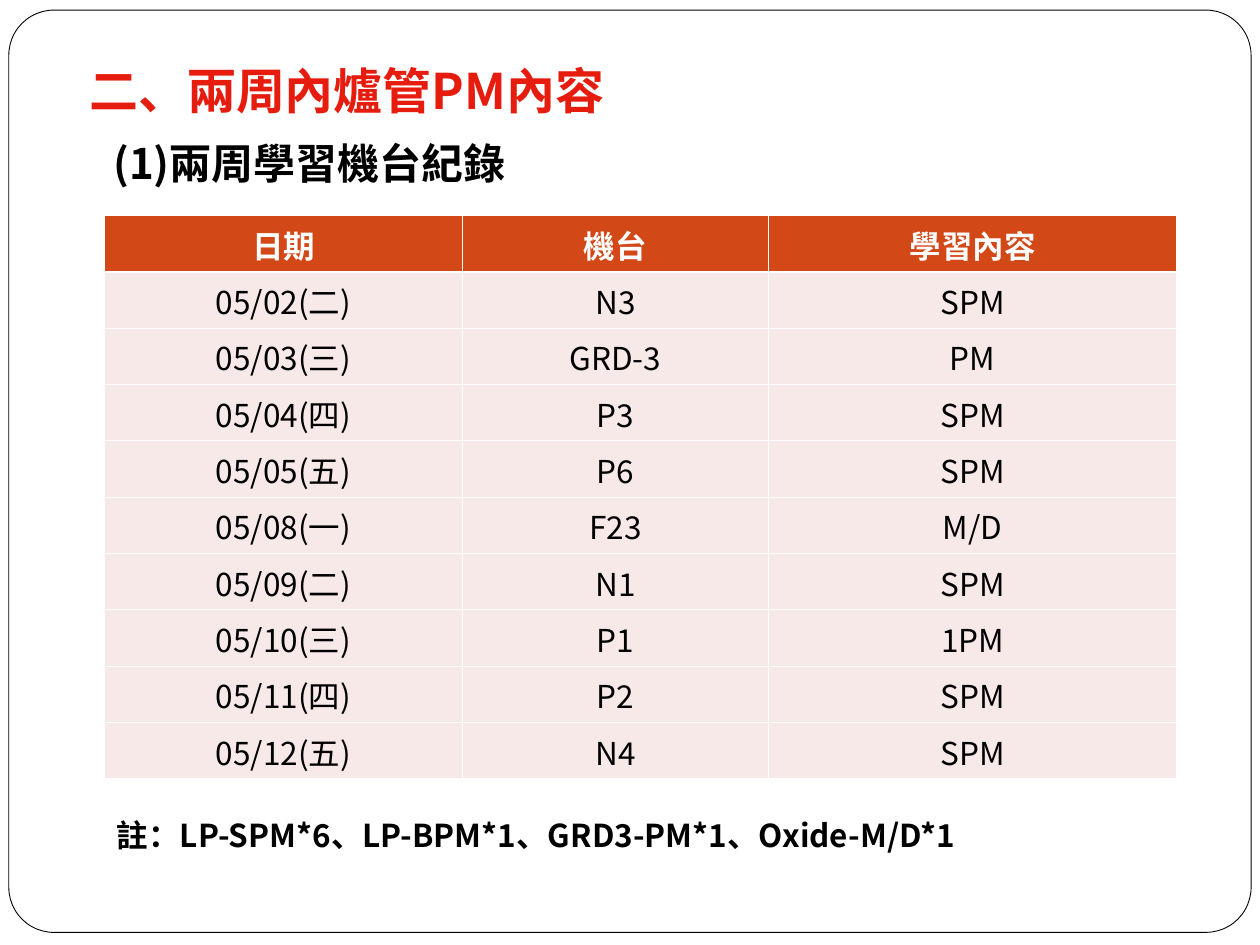
from lxml.etree import SubElement
from pptx import Presentation
from pptx.dml.color import RGBColor
from pptx.enum.shapes import MSO_SHAPE
from pptx.enum.text import MSO_ANCHOR, PP_ALIGN
from pptx.oxml.ns import qn
from pptx.util import Inches, Pt

FONT = "Noto Sans CJK SC"
COLORS = {
    "paper": "FFFFFF",
    "ink": "000000",
    "heading": "E61C0E",
    "header": "D34817",
    "body": "F7E9E7",
}
HEADER = ("日期", "機台", "學習內容")
RECORDS = [
    ("05/02(二)", "N3", "SPM"),
    ("05/03(三)", "GRD-3", "PM"),
    ("05/04(四)", "P3", "SPM"),
    ("05/05(五)", "P6", "SPM"),
    ("05/08(一)", "F23", "M/D"),
    ("05/09(二)", "N1", "SPM"),
    ("05/10(三)", "P1", "1PM"),
    ("05/11(四)", "P2", "SPM"),
    ("05/12(五)", "N4", "SPM"),
]
COL_WIDTHS = (2.84, 2.43, 3.24)
ROW_HEIGHT = 0.447
THIN, THICK = 0.45, 1.47


def rgb(name):
    return RGBColor.from_string(COLORS[name])


def add_run(p, text, size, color, bold):
    r = p.add_run()
    r.text = text
    r.font.size = Pt(size)
    r.font.bold = bold
    r.font.color.rgb = rgb(color)
    r.font.name = FONT
    # East Asian characters take their typeface from a separate element.
    SubElement(r.font._element, qn("a:ea"), typeface=FONT)


def add_frame(s, x, y, w, h):
    """Rounded outline around the whole slide."""
    sp = s.shapes.add_shape(MSO_SHAPE.ROUNDED_RECTANGLE,
                            Inches(x), Inches(y), Inches(w), Inches(h))
    sp.adjustments[0] = 0.049
    sp.shadow.inherit = False
    sp.fill.solid()
    sp.fill.fore_color.rgb = rgb("paper")
    sp.line.color.rgb = rgb("ink")
    sp.line.width = Pt(0.5)


def add_text(s, x, y, w, h, text, size, color="ink", wrap=True,
             anchor=MSO_ANCHOR.TOP, bottom=0.05):
    sp = s.shapes.add_textbox(Inches(x), Inches(y), Inches(w), Inches(h))
    tf = sp.text_frame
    tf.word_wrap = wrap
    tf.vertical_anchor = anchor
    tf.margin_bottom = Inches(bottom)
    add_run(tf.paragraphs[0], text, size, color, True)


def set_borders(cell, **widths):
    tcPr = cell._tc.get_or_add_tcPr()
    for side in "LRTB":
        ln = SubElement(tcPr, qn("a:ln" + side),
                        w=str(Pt(widths.get(side, THIN))))
        fill = SubElement(ln, qn("a:solidFill"))
        SubElement(fill, qn("a:srgbClr"), val=COLORS["paper"])


def fill_cell(cell, text, row):
    is_header = row == 0
    # Borders precede the fill in the cell properties.
    set_borders(cell, T=THICK if row == 1 else THIN,
                B=THICK if is_header else THIN)
    cell.fill.solid()
    cell.fill.fore_color.rgb = rgb("header" if is_header else "body")
    cell.vertical_anchor = MSO_ANCHOR.MIDDLE
    p = cell.text_frame.paragraphs[0]
    p.alignment = PP_ALIGN.CENTER
    add_run(p, text, 18, "paper" if is_header else "ink", is_header)


def add_record_table(s, x, y):
    rows = [HEADER, *RECORDS]
    table = s.shapes.add_table(
        len(rows), len(HEADER), Inches(x), Inches(y),
        Inches(sum(COL_WIDTHS)), Inches(ROW_HEIGHT * len(rows))).table
    for col, width in zip(table.columns, COL_WIDTHS):
        col.width = Inches(width)
    for i, values in enumerate(rows):
        table.rows[i].height = Inches(ROW_HEIGHT)
        for j, text in enumerate(values):
            fill_cell(table.cell(i, j), text, i)


def main():
    prs = Presentation()
    prs.slide_width, prs.slide_height = Inches(10), Inches(7.5)
    s = prs.slides.add_slide(prs.slide_layouts[6])
    add_frame(s, 0.07, 0.08, 9.86, 7.32)
    add_text(s, 0.8, 1.12, 4.1, 0.47, "(1)兩周學習機台紀錄", 24,
             anchor=MSO_ANCHOR.BOTTOM, bottom=0.1)
    add_record_table(s, 0.83, 1.71)
    add_text(s, 0.83, 6.43, 7.09, 0.7,
             "註：LP-SPM*6、LP-BPM*1、GRD3-PM*1、Oxide-M/D*1", 18)
    add_text(s, 0.61, 0.43, 4.49, 0.57, "二、兩周內爐管PM內容", 28,
             color="heading", wrap=False)
    prs.save("out.pptx")


if __name__ == "__main__":
    main()
